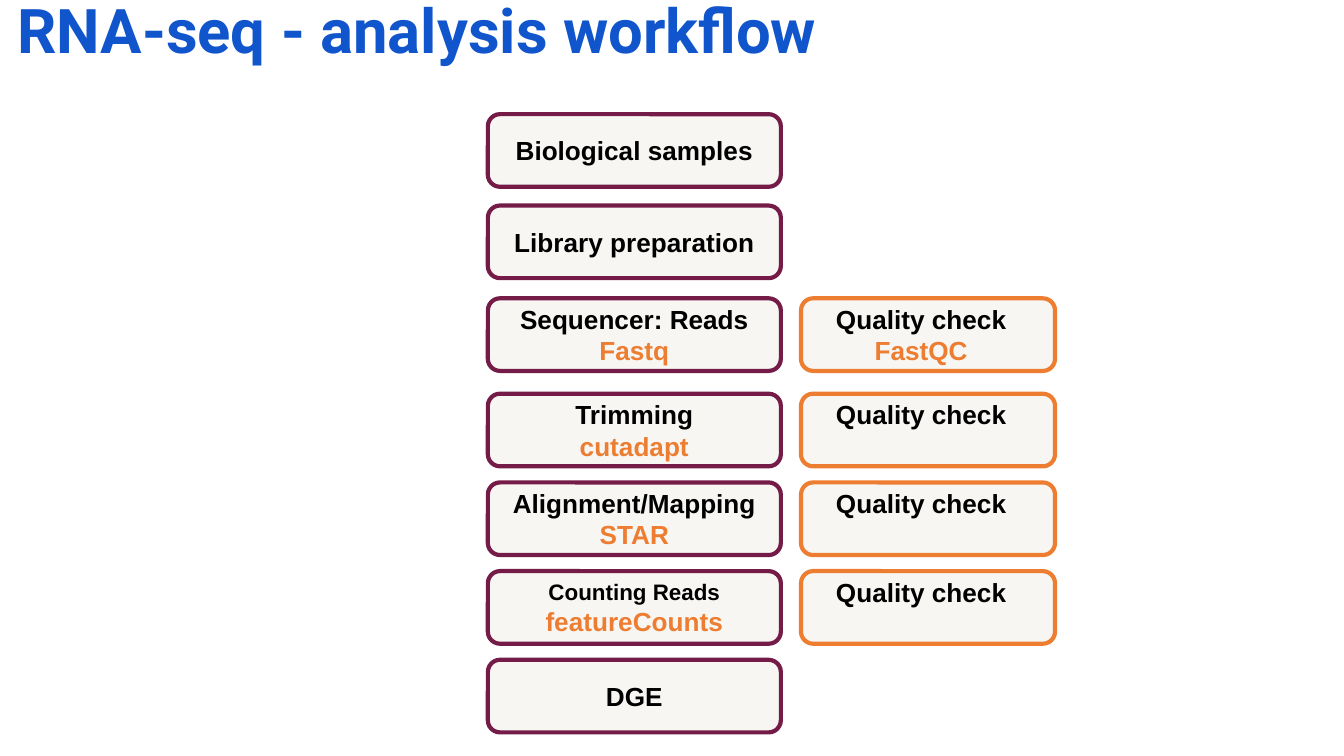
from dataclasses import dataclass

from pptx import Presentation
from pptx.dml.color import RGBColor
from pptx.enum.shapes import MSO_SHAPE
from pptx.enum.text import MSO_ANCHOR, MSO_AUTO_SIZE, PP_ALIGN
from pptx.util import Inches, Pt

ROUNDED = MSO_SHAPE.ROUNDED_RECTANGLE
TOP, MIDDLE = MSO_ANCHOR.TOP, MSO_ANCHOR.MIDDLE
LEFT, CENTER = PP_ALIGN.LEFT, PP_ALIGN.CENTER
NO_AUTOFIT = MSO_AUTO_SIZE.NONE
TITLE_ONLY = 5


@dataclass(frozen=True)
class Theme:
    title: RGBColor = RGBColor(0x11, 0x55, 0xCC)
    text: RGBColor = RGBColor(0, 0, 0)
    box: RGBColor = RGBColor(0xF7, 0xF6, 0xF3)
    step: RGBColor = RGBColor(0x74, 0x1B, 0x47)
    accent: RGBColor = RGBColor(0xED, 0x7D, 0x31)
    title_font: str = "Roboto"
    body_font: str = "Arial"
    title_size: int = 33
    body_size: int = 14
    small_size: int = 12
    outline: float = 2.25


THEME = Theme()

# Layout in inches: the first three rows stand slightly further apart
SLIDE_WIDTH = 10
SLIDE_HEIGHT = SLIDE_WIDTH * 9 / 16
STEP_LEFT, STEP_WIDTH = 3.63, 2.18
CHECK_LEFT, CHECK_WIDTH = 5.96, 1.89
BOX_HEIGHT, INSET = 0.54, 0.1
ROW_TOPS = [0.85, 1.53, 2.22] + [2.93 + 0.66 * row for row in range(4)]

# Step, its tool or format, size of the step's name
STEPS = [
    ("Biological samples", None, THEME.body_size),
    ("Library preparation", None, THEME.body_size),
    ("Sequencer: Reads ", "Fastq", THEME.body_size),
    ("Trimming", "cutadapt", THEME.body_size),
    ("Alignment/Mapping", "STAR", THEME.body_size),
    ("Counting Reads", "featureCounts", THEME.small_size),
    ("DGE", None, THEME.body_size),
]
# Row of each quality check and its tool
CHECKS = {2: "FastQC", 3: None, 4: None, 5: None}


def style_paragraph(para, name, size, color, align):
    para.alignment = align
    para.font.name = name
    para.font.size = Pt(size)
    para.font.bold = True
    para.font.color.rgb = color


def add_title(page, text):
    title = page.shapes.title
    title.left, title.top = Inches(0.13), Inches(0)
    title.width, title.height = Inches(8.62), Inches(0.81)
    frame = title.text_frame
    frame.text = text
    frame.auto_size = NO_AUTOFIT
    frame.vertical_anchor = TOP
    frame.margin_left = frame.margin_right = frame.margin_top = frame.margin_bottom = 0
    para = frame.paragraphs[0]
    para.line_spacing = 0.9
    style_paragraph(para, THEME.title_font, THEME.title_size, THEME.title, LEFT)


def add_box(page, left, top, width, outline, label, tool=None, size=THEME.body_size):
    """Add a rounded box; a label that ends in a space lets its tool wrap after it."""
    box = page.shapes.add_shape(
        ROUNDED, Inches(left), Inches(top), Inches(width), Inches(BOX_HEIGHT))
    box.shadow.inherit = False
    box.fill.solid()
    box.fill.fore_color.rgb = THEME.box
    box.line.color.rgb = outline
    box.line.width = Pt(THEME.outline)

    frame = box.text_frame
    frame.word_wrap = True
    frame.vertical_anchor = MIDDLE
    frame.margin_left = frame.margin_right = Inches(INSET)
    frame.margin_top = frame.margin_bottom = Inches(INSET)
    para = frame.paragraphs[0]
    para.text = label
    style_paragraph(para, THEME.body_font, size, THEME.text, CENTER)
    if tool:
        if not label.endswith(" "):
            para = frame.add_paragraph()
            style_paragraph(para, THEME.body_font, THEME.body_size, THEME.accent, CENTER)
        span = para.add_run()
        span.text = tool
        span.font.color.rgb = THEME.accent
    return box


def add_check(page, top, tool):
    """Add a quality check, its label on the upper line and a little left of centre."""
    box = add_box(page, CHECK_LEFT, top, CHECK_WIDTH, THEME.accent, "Quality check", tool)
    frame = box.text_frame
    frame.vertical_anchor = TOP
    frame.margin_top = Inches(0.01)
    frame.margin_bottom = 0
    frame.margin_right = Inches(2 * INSET)


def main():
    deck = Presentation()
    deck.slide_width, deck.slide_height = Inches(SLIDE_WIDTH), Inches(SLIDE_HEIGHT)
    page = deck.slides.add_slide(deck.slide_layouts[TITLE_ONLY])
    add_title(page, "RNA-seq - analysis workflow")

    # Workflow steps, top to bottom
    for top, (label, tool, size) in zip(ROW_TOPS, STEPS):
        add_box(page, STEP_LEFT, top, STEP_WIDTH, THEME.step, label, tool, size)

    # Quality checks beside their steps
    for row, tool in CHECKS.items():
        add_check(page, ROW_TOPS[row], tool)

    deck.save("out.pptx")


if __name__ == "__main__":
    main()
